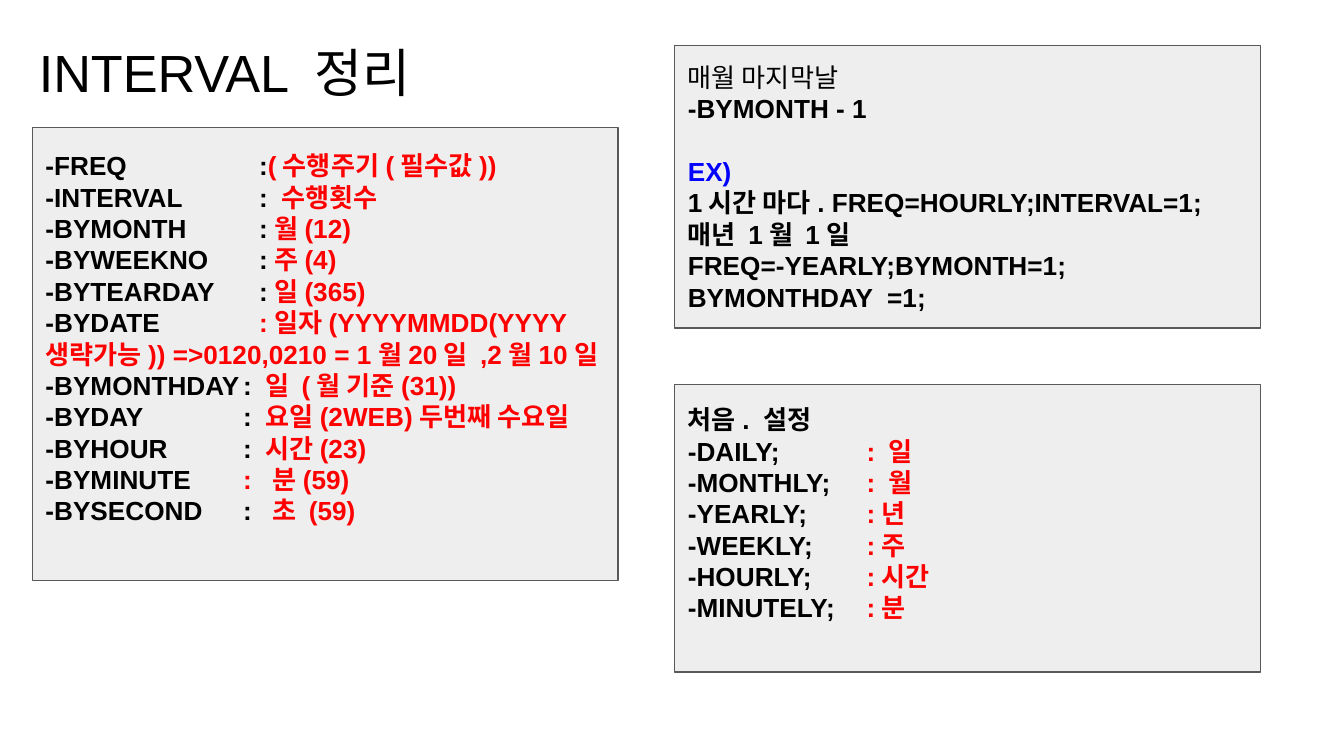
"""Build the INTERVAL summary slide with three text panels."""
from dataclasses import dataclass

from lxml.etree import SubElement
from pptx import Presentation
from pptx.dml.color import RGBColor
from pptx.enum.shapes import MSO_SHAPE
from pptx.enum.text import MSO_ANCHOR, PP_ALIGN
from pptx.oxml.ns import qn
from pptx.util import Inches, Pt


@dataclass(frozen=True)
class Theme:
    font: str = "Arial"
    title_size: float = 28
    body_size: float = 14
    line_pitch: float = 16.8
    border_width: float = 0.75
    inset: float = 0.1
    text: str = "000000"
    value: str = "FF0000"
    example: str = "0000FF"
    panel: str = "EEEEEE"
    border: str = "595959"


THEME = Theme()


@dataclass(frozen=True)
class Line:
    label: str
    value: str = ""
    color: str = THEME.text
    bold: bool = True
    tab: float = 0
    space_before: float = 0


@dataclass(frozen=True)
class Panel:
    left: float
    top: float
    height: float
    lines: tuple[Line, ...]
    bottom_inset: float = THEME.inset
    width: float = 4.36


def add_span(para, text: str, *, size: float = THEME.body_size,
             color: str = THEME.text, bold: bool = False) -> None:
    span = para.add_run()
    span.text = text
    span.font.name = THEME.font
    span.font.size = Pt(size)
    span.font.bold = bold
    span.font.color.rgb = RGBColor.from_string(color)


def set_frame(box, anchor: MSO_ANCHOR, bottom_inset: float = THEME.inset):
    frame = box.text_frame
    frame.word_wrap = True
    frame.vertical_anchor = anchor
    frame.margin_left = frame.margin_right = frame.margin_top = Inches(THEME.inset)
    frame.margin_bottom = Inches(bottom_inset)
    return frame


def add_tab_stop(para, position: float) -> None:
    properties = para._p.get_or_add_pPr()
    stops = SubElement(properties, qn("a:tabLst"))
    SubElement(stops, qn("a:tab"), pos=str(Inches(position)), algn="l")


def add_line(para, line: Line) -> None:
    para.alignment = PP_ALIGN.LEFT
    para.space_before = Pt(line.space_before)
    if line.tab:
        add_tab_stop(para, line.tab)
    add_span(para, line.label, color=line.color, bold=line.bold)
    if line.value:
        add_span(para, line.value, color=THEME.value, bold=line.bold)


def add_panel(page, panel: Panel) -> None:
    box = page.shapes.add_shape(
        MSO_SHAPE.RECTANGLE, Inches(panel.left), Inches(panel.top),
        Inches(panel.width), Inches(panel.height))
    box.shadow.inherit = False
    box.fill.solid()
    box.fill.fore_color.rgb = RGBColor.from_string(THEME.panel)
    box.line.color.rgb = RGBColor.from_string(THEME.border)
    box.line.width = Pt(THEME.border_width)
    frame = set_frame(box, MSO_ANCHOR.MIDDLE, panel.bottom_inset)
    for index, line in enumerate(panel.lines):
        add_line(frame.add_paragraph() if index else frame.paragraphs[0], line)


def add_title(page, text: str) -> None:
    box = page.shapes.add_textbox(Inches(0.19), Inches(0.2), Inches(4.69), Inches(0.63))
    frame = set_frame(box, MSO_ANCHOR.TOP)
    add_span(frame.paragraphs[0], text, size=THEME.title_size)


def tabbed(tab: float, *pairs: tuple[str, str]) -> tuple[Line, ...]:
    return tuple(Line(label, value, tab=tab) for label, value in pairs)


OPTIONS = Panel(0.24, 0.95, 3.37, (
    *tabbed(
        1.59,
        ("-FREQ\t:", "(수행주기(필수값))"),
        ("-INTERVAL\t:", " 수행횟수"),
        ("-BYMONTH\t:", "월(12)"),
        ("-BYWEEKNO\t:", "주(4)"),
        ("-BYTEARDAY\t:", "일(365)"),
        ("-BYDATE\t", ":일자(YYYYMMDD(YYYY생략가능)) =>0120,0210 = 1월20일 ,2월10일"),
    ),
    *tabbed(
        1.47,
        ("-BYMONTHDAY\t: ", "일 (월 기준(31))"),
        ("-BYDAY\t: ", "요일(2WEB)두번째 수요일"),
        ("-BYHOUR\t: ", "시간(23)"),
        ("-BYMINUTE\t", ":  분(59)"),
        ("-BYSECOND\t: ", " 초 (59)"),
    ),
), bottom_inset=0.34)

EXAMPLES = Panel(5.02, 0.34, 2.1, (
    Line("매월 마지막날", bold=False),
    Line("-BYMONTH - 1"),
    Line("EX)", color=THEME.example, space_before=THEME.line_pitch),
    Line("1시간 마다. FREQ=HOURLY;INTERVAL=1;"),
    Line("매년 1월 1일"),
    Line("FREQ=-YEARLY;BYMONTH=1;"),
    Line("BYMONTHDAY  =1;"),
))

FREQUENCIES = Panel(5.02, 2.86, 2.14, (
    Line("처음. 설정"),
    *tabbed(
        1.33,
        ("-DAILY;\t", ": 일"),
        ("-MONTHLY;\t", ": 월"),
        ("-YEARLY;\t", ":년"),
        ("-WEEKLY;\t", ":주"),
        ("-HOURLY;\t", ":시간"),
        ("-MINUTELY;\t", ":분"),
    ),
), bottom_inset=0.32)


def main() -> None:
    deck = Presentation()
    deck.slide_width = Inches(10)
    deck.slide_height = deck.slide_width * 9 // 16
    page = deck.slides.add_slide(deck.slide_layouts[6])
    add_title(page, "INTERVAL 정리")
    for panel in (OPTIONS, EXAMPLES, FREQUENCIES):
        add_panel(page, panel)
    deck.save("out.pptx")


if __name__ == "__main__":
    main()
